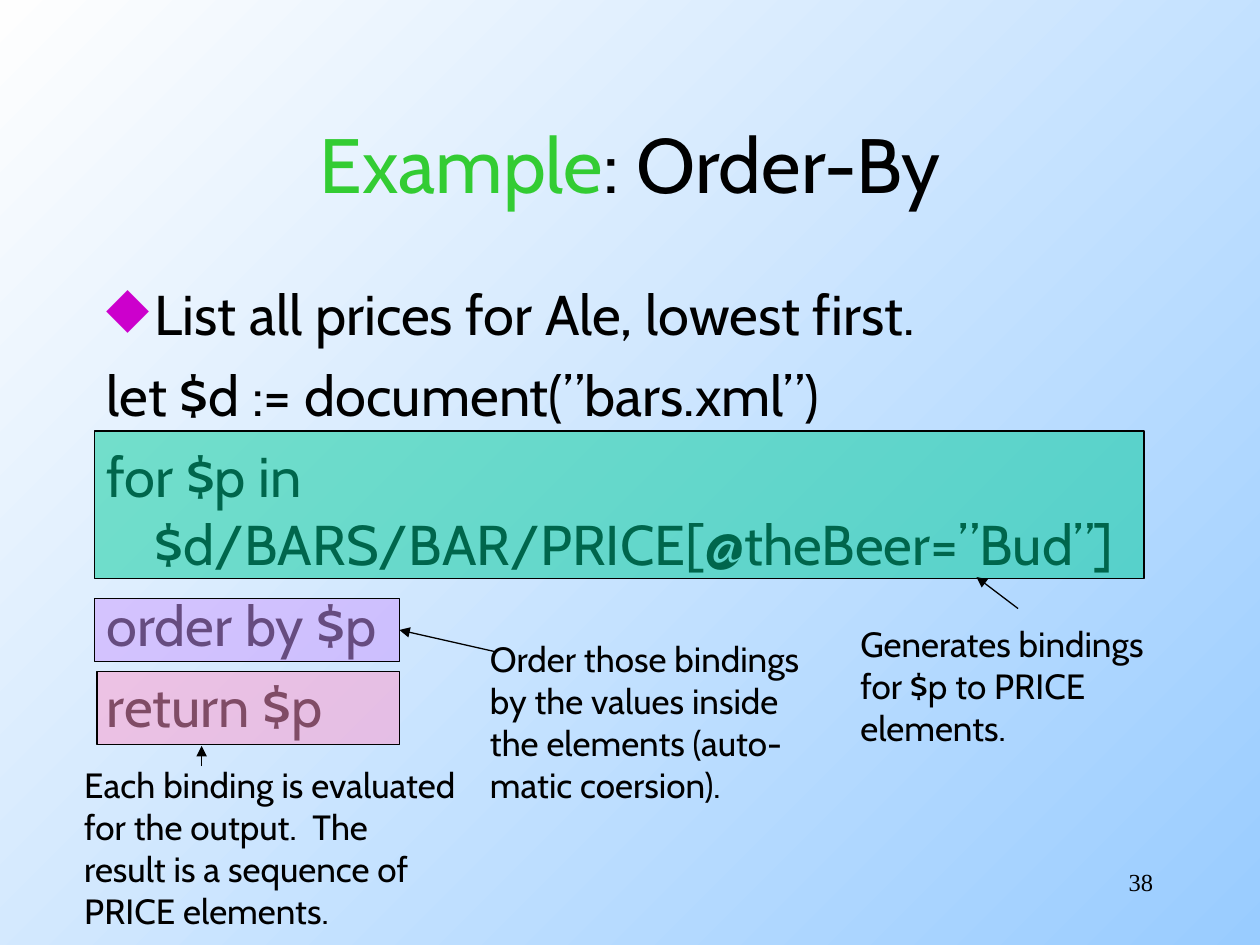
from lxml import etree
from pptx import Presentation
from pptx.dml.color import RGBColor
from pptx.enum import shapes, text
from pptx.oxml import ns
from pptx.util import Inches, Pt

COLORS = {
    "text": "000000", "title": "33CC33", "bullet": "CC00CC",
    "sky": "99CCFF", "white": "FEFEFE",
    "for": "00CC99", "order": "CC99FF", "return": "FF99CC",
}
FONT = "Cabin"


def rgb(name):
    return RGBColor.from_string(COLORS[name])


def sub(parent, tag, **attrs):
    return etree.SubElement(parent, ns.qn(tag), **attrs)


class Deck:
    def __init__(self):
        self.prs = Presentation()
        self.prs.slide_width, self.prs.slide_height = Inches(10), Inches(7.5)
        self.slide = self.prs.slides.add_slide(self.prs.slide_layouts[5])
        self.shapes = self.slide.shapes

    def backdrop(self, *names):
        fill = self.slide.background.fill
        fill.gradient()
        fill.gradient_angle = 135
        for stop, name, place in zip(fill.gradient_stops, names, (0, 1)):
            stop.color.rgb = rgb(name)
            stop.position = place

    def style(self, run, size, color="text", font=FONT):
        run.font.size, run.font.name = Pt(size), font
        run.font.color.rgb = rgb(color)

    def title(self, box, *parts):
        """Fill the title with (wording, colour) parts."""
        shape = self.shapes.title
        shape.left, shape.top, shape.width, shape.height = map(Inches, box)
        frame = shape.text_frame
        frame.vertical_anchor = text.MSO_ANCHOR.MIDDLE
        para = frame.paragraphs[0]
        para.alignment = text.PP_ALIGN.CENTER
        for wording, color in parts:
            run = para.add_run()
            run.text = wording
            self.style(run, 44, color)

    def text(self, box, lines, size=20, font=FONT, align=text.PP_ALIGN.LEFT):
        frame = self.shapes.add_textbox(*map(Inches, box)).text_frame
        frame.word_wrap = True
        frame.text = "\n".join(lines)
        for para in frame.paragraphs:
            para.alignment = align
            self.style(para.runs[0], size, font=font)
        return frame.paragraphs

    def body(self, box, lines):
        """Hanging paragraphs, the first one with a diamond bullet."""
        paras = self.text(box, lines, 32)
        for i, para in enumerate(paras):
            props = para._p.get_or_add_pPr()
            props.set("marL", str(Inches(0.38)))
            props.set("indent", str(-Inches(0.38)))
            if i:
                para.space_before = Pt(8)
                sub(props, "a:buNone")
            else:
                sub(sub(props, "a:buClr"), "a:srgbClr", val=COLORS["bullet"])
                sub(props, "a:buChar", char="◆")

    def band(self, box, color):
        """Half-transparent box over a clause."""
        shape = self.shapes.add_shape(shapes.MSO_SHAPE.RECTANGLE, *map(Inches, box))
        shape.shadow.inherit = False
        shape.fill.solid()
        shape.fill.fore_color.rgb = rgb(color)
        tint = shape.fill._xPr.find(".//" + ns.qn("a:srgbClr"))
        sub(tint, "a:alpha", val="50000")
        shape.line.color.rgb = rgb("text")
        shape.line.width = Pt(0.75)
        return shape

    def arrow(self, start, end):
        line = self.shapes.add_connector(
            shapes.MSO_CONNECTOR.STRAIGHT, *map(Inches, start + end))
        line.line.color.rgb = rgb("text")
        line.line.width = Pt(0.75)
        sub(line.line._ln, "a:tailEnd", type="triangle")
        sub(line._element.spPr, "a:effectLst")
        return line


def main():
    deck = Deck()
    deck.backdrop("sky", "white")
    deck.title((0.75, 0.67, 8.5, 1.25), ("Example", "title"), (": Order-By", "text"))
    deck.body((0.75, 2.17, 8.5, 4.5), [
        "List all prices for Ale, lowest first.",
        "let $d := document(”bars.xml”)",
        "for $p in $d/BARS/BAR/PRICE[@theBeer=”Bud”]",
        "order by $p",
        "return $p",
    ])

    deck.band((0.75, 3.42, 8.33, 1.17), "for")
    deck.text((6.73, 4.89, 2.76, 1.1),
              ["Generates bindings", "for $p to PRICE", "elements."])
    deck.arrow((8.08, 4.83), (7.75, 4.58))

    deck.text((3.79, 5.01, 2.98, 1.44),
              ["Order those bindings", "by the values inside",
               "the elements (auto-", "matic coersion)."])
    order = deck.band((0.75, 4.75, 2.42, 0.5), "order")
    deck.arrow((3.92, 5.17), (3.17, 5)).end_connect(order, 3)

    deck.band((0.77, 5.33, 2.4, 0.58), "return")
    deck.text((0.57, 6.01, 3.52, 1.44),
              ["Each binding is evaluated", "for the output.  The",
               "result is a sequence of", "PRICE elements."])
    deck.arrow((1.6, 6.08), (1.6, 5.92))

    deck.text((7.17, 6.83, 2.08, 0.5), ["38"], 14, "Times New Roman",
              text.PP_ALIGN.RIGHT)
    deck.prs.save("out.pptx")


if __name__ == "__main__":
    main()
